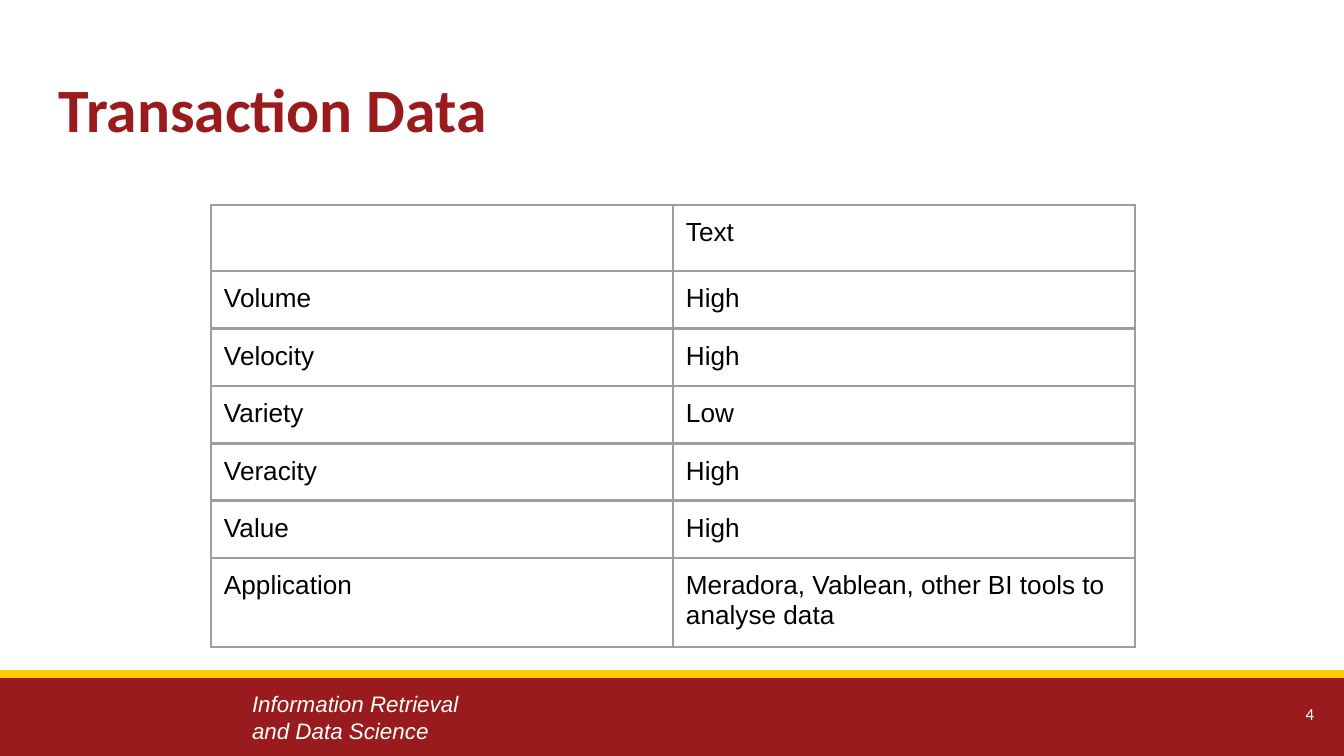
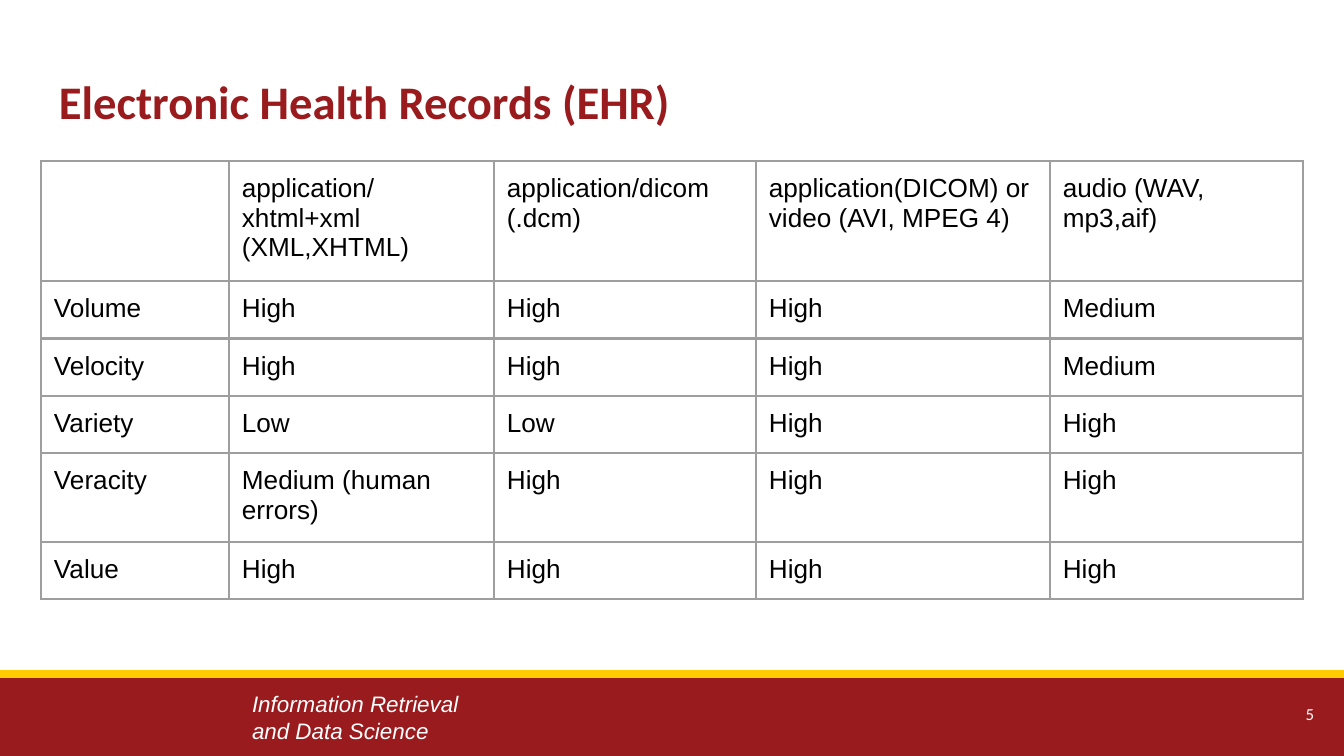
from lxml.etree import SubElement
from pptx import Presentation
from pptx.dml.color import RGBColor
from pptx.enum.shapes import MSO_CONNECTOR as CONNECTOR, MSO_SHAPE as SHAPE
from pptx.enum.text import MSO_ANCHOR as ANCHOR, PP_ALIGN as ALIGN
from pptx.oxml import parse_xml
from pptx.oxml.ns import nsdecls, qn
from pptx.util import Emu, Pt

WIDTH, HEIGHT = 1344, 756
BAND_TOP = 674
PAD = 13
CARDINAL, GOLD, WHITE, BLACK, GREY = "991B1D", "FFCC01", "FFFFFF", "000000", "9E9E9E"


def px(n):
    return Emu(round(n * 914400 / 134.4))


def add_text(s, box, lines, size, font, color, pad_y=PAD):
    tf = s.shapes.add_textbox(*map(px, box)).text_frame
    tf.word_wrap = True
    tf.margin_left = tf.margin_right = px(PAD)
    tf.margin_top = tf.margin_bottom = px(pad_y)
    tf.text = lines
    for p in tf.paragraphs:
        f = p.runs[0].font
        f.size, f.name = Pt(size), font
        f.color.rgb = RGBColor.from_string(color)
    return tf


slides = [
    {
        "title": "Transaction Data", "size": 33, "page": 4,
        "left": 211, "top": 205,
        "cols": [462] * 2,
        "heights": [64] + [56] * 5 + [86],
        "rows": [
            ["", "Text"],
            ["Volume", "High"],
            ["Velocity", "High"],
            ["Variety", "Low"],
            ["Veracity", "High"],
            ["Value", "High"],
            ["Application", "Meradora, Vablean, other BI tools to analyse data"],
        ],
    },
    {
        "title": "Electronic Health Records (EHR)", "size": 25, "page": 5,
        "left": 41, "top": 161,
        "cols": [188, 265, 262, 294, 253],
        "heights": [115, 57, 57, 57, 86, 56],
        "rows": [
            ["", "application/xhtml+xml (XML,XHTML)", "application/dicom (.dcm)",
             "application(DICOM) or video (AVI, MPEG 4)", "audio (WAV, mp3,aif)"],
            ["Volume", "High", "High", "High", "Medium"],
            ["Velocity", "High", "High", "High", "Medium"],
            ["Variety", "Low", "Low", "High", "High"],
            ["Veracity", "Medium (human errors)", "High", "High", "High"],
            ["Value", "High", "High", "High", "High"],
        ],
    },
]

prs = Presentation()
prs.slide_width, prs.slide_height = px(WIDTH), px(HEIGHT)

for data in slides:
    s = prs.slides.add_slide(prs.slide_layouts[6])

    band = s.shapes.add_shape(SHAPE.RECTANGLE, 0, px(BAND_TOP), px(WIDTH), px(HEIGHT - BAND_TOP))
    band.shadow.inherit = False
    band.fill.solid()
    band.fill.fore_color.rgb = RGBColor.from_string(CARDINAL)
    band.line.fill.background()

    footer = add_text(s, (239, 683, 241, 67), "Information Retrieval\nand Data Science",
                      12, "Arial", WHITE, pad_y=7)
    for p in footer.paragraphs:
        p.runs[0].font.italic = True

    rule = s.shapes.add_connector(CONNECTOR.STRAIGHT, 0, px(BAND_TOP), px(WIDTH), px(BAND_TOP))
    rule.line.color.rgb = RGBColor.from_string(GOLD)
    rule.line.width = Pt(4.5)
    SubElement(rule._element.spPr, qn("a:effectLst"))

    title = add_text(s, (46, 66, 1252, 85), data["title"], data["size"], "Calibri", CARDINAL)
    title.paragraphs[0].line_spacing = 0.9
    title.paragraphs[0].runs[0].font.bold = True

    rows, cols, heights = data["rows"], data["cols"], data["heights"]
    table = s.shapes.add_table(len(rows), len(cols), px(data["left"]), px(data["top"]),
                               px(sum(cols)), px(sum(heights))).table
    table.first_row = table.horz_banding = False
    for column, width in zip(table.columns, cols):
        column.width = px(width)
    for row, height, words in zip(table.rows, heights, rows):
        row.height = px(height)
        for cell, word in zip(row.cells, words):
            cell.margin_left = cell.margin_right = px(PAD)
            cell.margin_top = cell.margin_bottom = px(PAD)
            tcPr = cell._tc.get_or_add_tcPr()
            for side in ("lnL", "lnR", "lnT", "lnB"):
                tcPr.append(parse_xml(
                    f'<a:{side} {nsdecls("a")} w="{Pt(1.5)}"><a:solidFill>'
                    f'<a:srgbClr val="{GREY}"/></a:solidFill></a:{side}>'))
            cell.fill.background()
            if word:
                cell.text = word
                f = cell.text_frame.paragraphs[0].runs[0].font
                f.size, f.name = Pt(14), "Arial"
                f.color.rgb = RGBColor.from_string(BLACK)

    number = add_text(s, (1246, 685, 81, 58), str(data["page"]), 9, "Calibri", WHITE)
    number.vertical_anchor = ANCHOR.MIDDLE
    number.paragraphs[0].alignment = ALIGN.RIGHT

prs.save("out.pptx")
